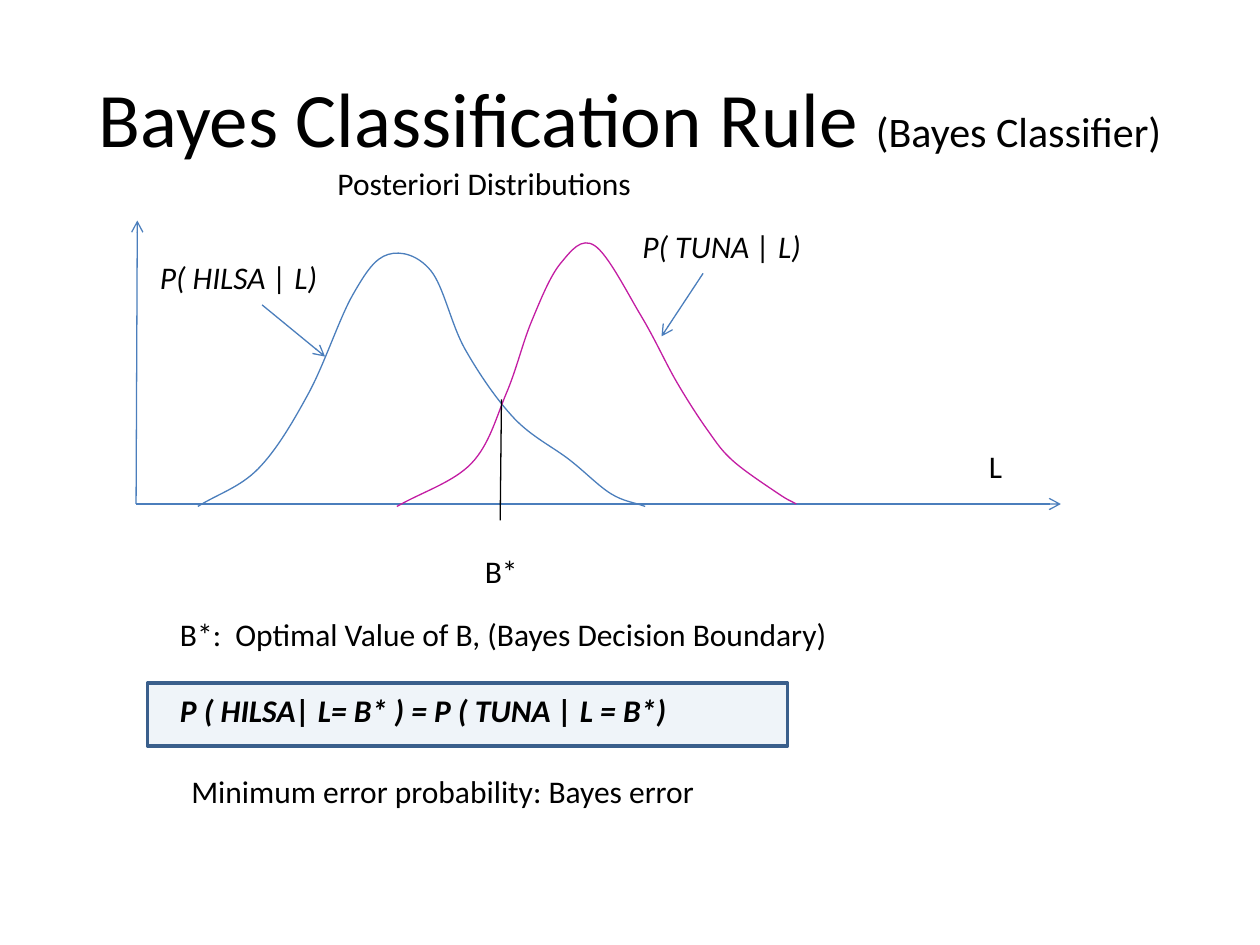
from lxml.etree import SubElement
from pptx import Presentation
from pptx.dml.color import RGBColor
from pptx.enum.shapes import MSO_CONNECTOR, MSO_SHAPE
from pptx.enum.text import MSO_ANCHOR, PP_ALIGN
from pptx.oxml.ns import qn
from pptx.util import Inches, Pt

BLACK = RGBColor(0x00, 0x00, 0x00)
BLUE = RGBColor(0x4B, 0x7E, 0xBC)
MAGENTA = RGBColor(0xC3, 0x1D, 0xA3)
PALE_BLUE = RGBColor(0xDC, 0xE6, 0xF2)
DARK_BLUE = RGBColor(0x3A, 0x5F, 0x8C)

HILSA_KNOTS = [
    (1.57, 4.02), (2.05, 3.72), (2.45, 3.12), (2.8, 2.34), (3.08, 2.02), (3.42, 2.15),
    (3.69, 2.77), (4.08, 3.32), (4.52, 3.65), (4.85, 3.92), (5.12, 4.02),
]
TUNA_KNOTS = [
    (3.15, 4.02), (3.74, 3.68), (4.02, 3.12), (4.22, 2.55), (4.45, 2.09), (4.72, 1.95),
    (5.09, 2.51), (5.37, 3.03), (5.62, 3.42), (5.82, 3.66), (6.18, 3.92), (6.32, 4),
]


def tangent(knots, i):
    before, after = max(i - 1, 0), min(i + 1, len(knots) - 1)
    return [(b - a) / (3 * (after - before)) for a, b in zip(knots[before], knots[after])]


def bezier_points(knots):
    points = []
    for i, ((x1, y1), (x2, y2)) in enumerate(zip(knots, knots[1:])):
        (dx1, dy1), (dx2, dy2) = tangent(knots, i), tangent(knots, i + 1)
        points += [(x1 + dx1, y1 + dy1), (x2 - dx2, y2 - dy2), (x2, y2)]
    return [(Inches(x), Inches(y)) for x, y in points]


class SlideBuilder:
    font_name = "Calibri"
    text_size = 18
    line_width = Pt(0.75)

    def __init__(self, slide):
        self.slide = slide
        self.shapes = slide.shapes

    def style(self, run, size=text_size, bold=False, italic=False):
        run.font.name = self.font_name
        run.font.size = Pt(size)
        run.font.bold = bold
        run.font.italic = italic
        run.font.color.rgb = BLACK

    def title(self, main, aside):
        heading = self.shapes.title
        heading.left, heading.top = Inches(0.5), Inches(0.3)
        heading.width, heading.height = Inches(9), Inches(1.25)
        heading.text_frame.vertical_anchor = MSO_ANCHOR.MIDDLE
        paragraph = heading.text_frame.paragraphs[0]
        paragraph.alignment = PP_ALIGN.CENTER
        for text, size in ((main, 44), (aside, 24)):
            run = paragraph.add_run()
            run.text = text
            self.style(run, size)

    def text(self, text, left, top, width, height=0.4, wrap=False, italic=False):
        box = self.shapes.add_textbox(Inches(left), Inches(top), Inches(width), Inches(height))
        box.text_frame.word_wrap = wrap
        box.text_frame.text = text
        for paragraph in box.text_frame.paragraphs:
            self.style(paragraph.runs[0], italic=italic)
        return box.text_frame

    def line(self, start, end, color=BLUE, arrow=True):
        ends = [Inches(value) for value in (*start, *end)]
        connector = self.shapes.add_connector(MSO_CONNECTOR.STRAIGHT, *ends)
        connector.line.color.rgb = color
        connector.line.width = self.line_width
        if arrow:
            SubElement(connector.line._get_or_add_ln(), qn("a:tailEnd"), type="arrow")
        SubElement(connector._element.spPr, qn("a:effectLst"))

    def curve(self, knots, color):
        x, y = knots[0]
        builder = self.shapes.build_freeform(Inches(x), Inches(y))
        builder.add_line_segments(bezier_points(knots), close=False)
        curve = builder.convert_to_shape()
        segments = list(curve._element.iter(qn("a:lnTo")))
        outline = segments[0].getparent()
        for i in range(0, len(segments), 3):
            bezier = SubElement(outline, qn("a:cubicBezTo"))
            for segment in segments[i:i + 3]:
                bezier.append(segment[0])
                outline.remove(segment)
        curve.fill.background()
        curve.line.color.rgb = color
        curve.line.width = self.line_width
        curve.shadow.inherit = False

    def panel(self, left, top, width, height):
        panel = self.shapes.add_shape(
            MSO_SHAPE.RECTANGLE, Inches(left), Inches(top), Inches(width), Inches(height))
        panel.fill.solid()
        panel.fill.fore_color.rgb = PALE_BLUE
        tint = next(panel._element.spPr.iter(qn("a:srgbClr")))
        SubElement(tint, qn("a:alpha"), val="44000")
        panel.line.color.rgb = DARK_BLUE
        panel.line.width = Pt(2)
        panel.shadow.inherit = False


def main():
    presentation = Presentation()
    presentation.slide_width, presentation.slide_height = Inches(10), Inches(7.5)
    builder = SlideBuilder(presentation.slides.add_slide(presentation.slide_layouts[5]))

    builder.panel(1.17, 5.42, 5.08, 0.5)
    builder.title("Bayes Classification Rule ", "(Bayes Classifier)")

    origin = (1.08, 4)
    builder.line(origin, (8.42, 4))
    builder.line(origin, (1.09, 1.75))
    builder.curve(HILSA_KNOTS, BLUE)
    builder.curve(TUNA_KNOTS, MAGENTA)
    builder.text("L", 7.75, 3.5, 0.34)

    builder.line((2.08, 2.42), (2.58, 2.83))
    builder.line((5.58, 2.17), (5.25, 2.67))
    builder.text("P( HILSA | L)", 1.17, 2, 1.67, italic=True)
    builder.text("P( TUNA | L)", 5, 1.75, 1.63, italic=True)
    builder.text("B*", 3.75, 4.33, 0.47)

    boundary = builder.text(
        "B*:  Optimal Value of B, (Bayes Decision Boundary)\n"
        "P ( HILSA| L= B* ) = P ( TUNA | L = B*)",
        1.33, 4.83, 6.75, 1.01, wrap=True)
    equality = boundary.paragraphs[1]
    equality.space_before = Pt(22)
    builder.style(equality.runs[0], bold=True, italic=True)

    builder.line((3.98, 3.17), (3.97, 4.13), BLACK, arrow=False)
    builder.text("Posteriori Distributions", 2.58, 1.25, 2.73)
    builder.text("Minimum error probability: Bayes error", 1.42, 6.08, 4.49)

    presentation.save("out.pptx")


if __name__ == "__main__":
    main()
